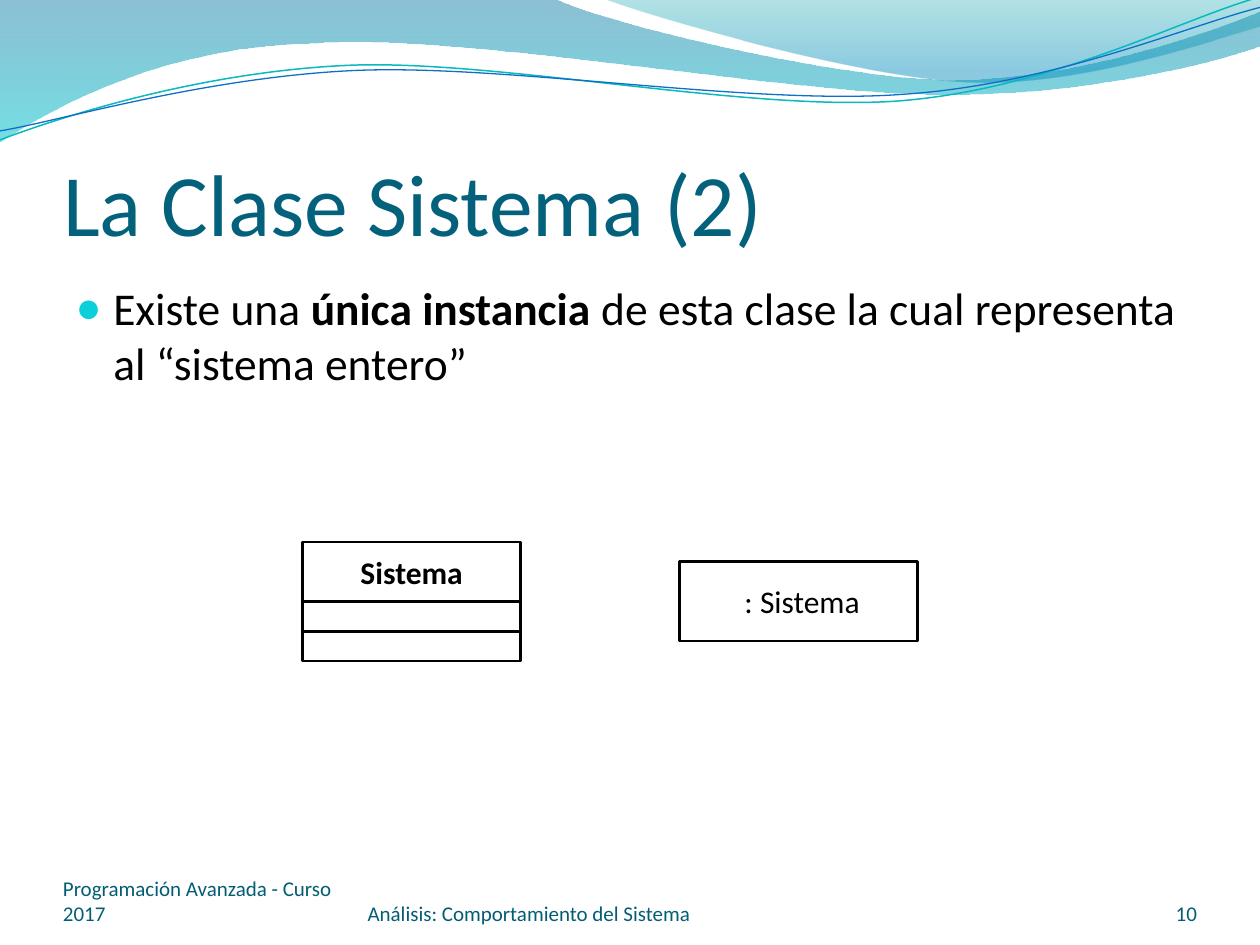
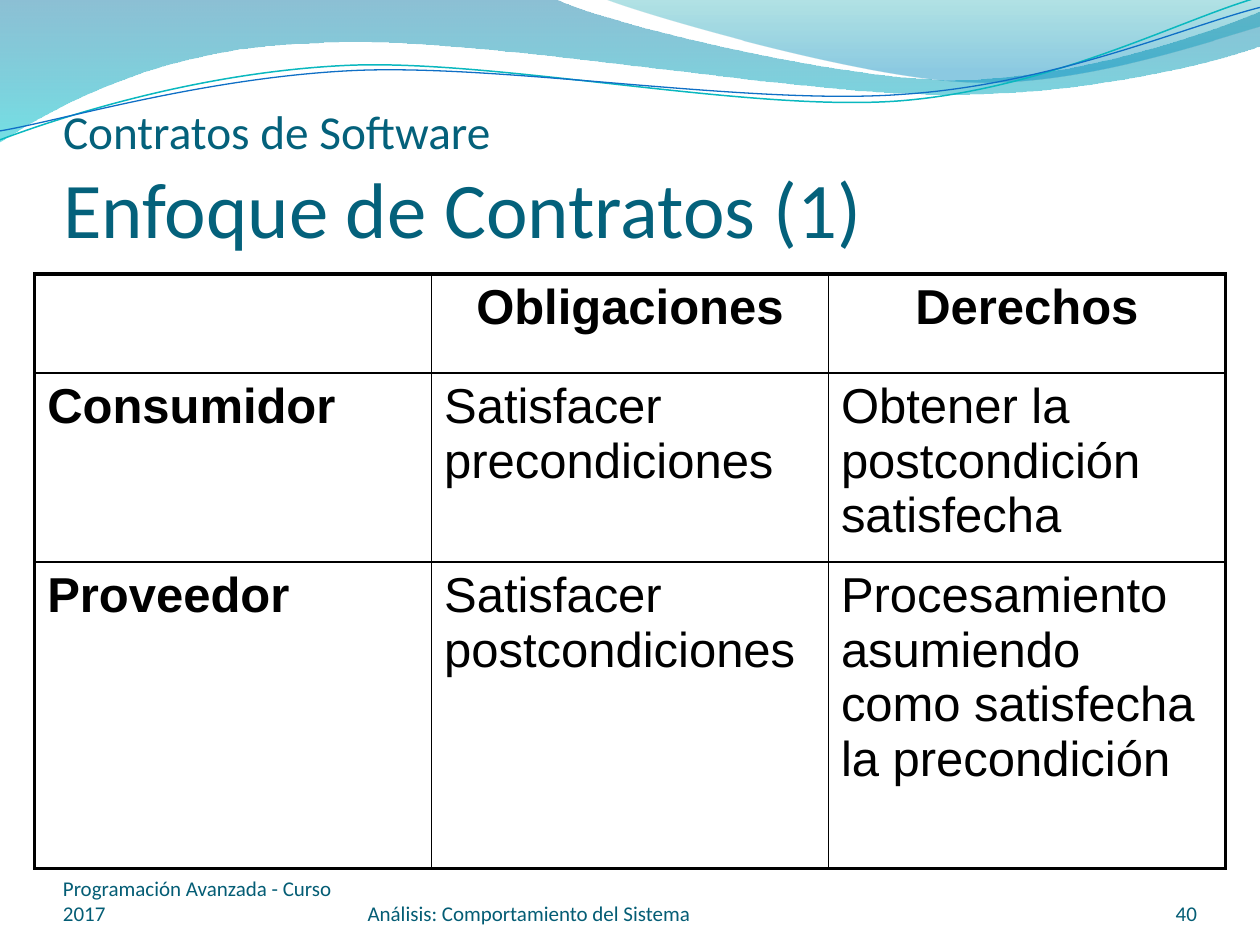
import copy

import pptx
import pptx.dml.color
import pptx.enum.shapes
import pptx.enum.text
import pptx.oxml
import pptx.oxml.ns
import pptx.util

Cm = pptx.util.Cm
Pt = pptx.util.Pt
ALIGN = pptx.enum.text.PP_ALIGN
ANCHOR = pptx.enum.text.MSO_ANCHOR
RECT = pptx.enum.shapes.MSO_SHAPE.RECTANGLE
BLACK, WHITE, TITLE, FOOTER, BULLET = "000000", "FFFFFF", "04617B", "045D75", "0BD0D9"
BREAK = "\n"

BANDS = [
    ([(0, 0), (11.18, -0.03),
      (12.09, 0.43, 16.87, 1.6, 19.25, 1.6), (21.67, 1.6, 24.33, 0.66, 25.4, 0.23),
      (25.43, 0.91),
      (24.97, 1.12, 22.1, 1.93, 18.95, 1.9), (15.8, 1.9, 9.7, 0.71, 6.53, 0.86),
      (3.28, 0.91, 1.17, 2.11, -0.03, 2.87), (0, 0)],
     [(0, "0074A1", 45), (1, "00C6CF", 55)]),
    ([(12.17, -0.03),
      (12.93, 0.28, 17.32, 1.57, 19.53, 1.65), (21.74, 1.75, 24.41, 0.81, 25.4, 0.53),
      (25.4, 0), (12.17, -0.03)],
     [(0, "00A1A9", 30), (0.8, "008BBF", 45)]),
]
WAVES = [
    ([(-0.05, 2.22), (1.19, 1.82, 4.02, 1.04, 7.05, 1.05),
      (10.05, 1.07, 15.02, 2.37, 18.08, 2.29), (21.13, 2.2, 23.86, 0.91, 25.41, 0.55)],
     "0AB8BF", 0.85),
    ([(-0.04, 2.04), (1.16, 1.9, 4.17, 1.15, 7.2, 1.16),
      (10.25, 1.18, 15.13, 2.25, 18.19, 2.16), (21.22, 2.1, 23.93, 1.06, 25.45, 0.75)],
     "0F6FC6", 0.75),
]
WAVE_TILT = 357.3


def rgb(color):
    return pptx.dml.color.RGBColor.from_string(color)


def xml(tag, attrs="", inner=""):
    ns = pptx.oxml.ns.nsdecls("a")
    return pptx.oxml.parse_xml(f"<a:{tag} {ns} {attrs}>{inner}</a:{tag}>")


def apply(obj, **fmt):
    for name, value in fmt.items():
        setattr(obj, name, value)


def bend(sp, steps):
    segments = iter(sp.element.xpath(".//a:lnTo"))
    for step in steps:
        first = next(segments)
        if len(step) == 2:
            continue
        curve = xml("cubicBezTo")
        first.addprevious(curve)
        for segment in (first, next(segments), next(segments)):
            curve.append(segment[0])
            segment.getparent().remove(segment)


class Deck:
    def __init__(self):
        self.prs = pptx.Presentation()
        apply(self.prs, slide_width=Cm(25.4), slide_height=Cm(19.05))
        self.s = None

    def slide(self, layout, number):
        self.s = self.prs.slides.add_slide(self.prs.slide_layouts[layout])
        if len(self.prs.slides) == 1:
            self.background()
        self.footer(1.27, 5.92, "Programación Avanzada - Curso 2017")
        self.footer(7.41, 9.32, "Análisis: Comportamiento del Sistema")
        self.footer(22.02, 2.11, number, ALIGN.RIGHT)

    def background(self):
        for steps, stops in BANDS:
            sp = self.outline(steps, True)
            sp.line.fill.background()
            sp.fill.gradient()
            sp.fill.gradient_angle = 270
            for stop, (position, color, opacity) in zip(sp.fill.gradient_stops, stops):
                stop.position = position
                stop.color.rgb = rgb(color)
                clr = stop.color._xFill.find(pptx.oxml.ns.qn("a:srgbClr"))
                clr.append(xml("alpha", f'val="{opacity * 1000}"'))
        for steps, color, width in WAVES:
            sp = self.outline(steps, False)
            sp.rotation = WAVE_TILT
            sp.fill.background()
            self.line(sp, color, width)

    def outline(self, steps, close):
        start, *rest = steps
        pts = [(Cm(step[i]), Cm(step[i + 1])) for step in rest
               for i in range(0, len(step), 2)]
        fb = self.s.shapes.build_freeform(*map(Cm, start), scale=1.0)
        fb.add_line_segments(pts, close=close)
        sp = fb.convert_to_shape()
        bend(sp, rest)
        sp.shadow.inherit = False
        tree = self.prs.slide_master.shapes.element
        sp.element.xpath(".//p:cNvPr")[0].set("id", str(100 + len(tree)))
        tree.append(sp.element)
        return sp

    def line(self, sp, color, width):
        sp.line.color.rgb = rgb(color)
        sp.line.width = Pt(width)

    def place(self, sp, left, top, width, height):
        apply(sp, left=Cm(left), top=Cm(top), width=Cm(width), height=Cm(height))

    def frame(self, tf, anchor, margins=None, wrap=True):
        apply(tf, word_wrap=wrap, vertical_anchor=anchor,
              auto_size=pptx.enum.text.MSO_AUTO_SIZE.NONE)
        if margins:
            sides = ("margin_left", "margin_top", "margin_right", "margin_bottom")
            apply(tf, **dict(zip(sides, map(Cm, margins))))

    def text(self, tf, runs, color=BLACK, align=ALIGN.LEFT, before=0, name="Calibri"):
        p = tf.paragraphs[0]
        apply(p, alignment=align, space_before=Pt(before))
        for text, size, bold in runs:
            r = p.add_run()
            r.text = text.rstrip(BREAK)
            apply(r.font, name=name, size=Pt(size), bold=bold)
            r.font.color.rgb = rgb(color)
            if text.endswith(BREAK):
                p.add_line_break()
                p._p[-1].append(copy.deepcopy(r._r.rPr))
        return p

    def footer(self, left, width, text, align=ALIGN.LEFT):
        sp = self.s.shapes.add_textbox(Cm(left), Cm(17.65), Cm(width), Cm(1.02))
        self.frame(sp.text_frame, ANCHOR.BOTTOM, (0, 0, 0, 0))
        self.text(sp.text_frame, [(text, 12, False)], FOOTER, align)

    def title(self, *runs):
        sp = self.s.shapes.title
        self.place(sp, 1.27, 1.95, 22.86, 3.17)
        self.frame(sp.text_frame, ANCHOR.BOTTOM, (0, 0.13, 0, 0))
        self.text(sp.text_frame, [(text, size, False) for text, size in runs], TITLE)

    def bullet(self, *runs):
        sp = self.s.placeholders[1]
        self.place(sp, 1.27, 5.52, 22.83, 12.4)
        self.frame(sp.text_frame, ANCHOR.TOP)
        p = self.text(sp.text_frame, [(text, 26, bold) for text, bold in runs], before=5.2)
        pPr = p._p.get_or_add_pPr()
        for key, value in {"marL": Cm(0.76), "indent": -Cm(0.76)}.items():
            pPr.set(key, str(int(value)))
        pPr.append(xml("buClr", inner=f'<a:srgbClr val="{BULLET}"/>'))
        pPr.append(xml("buSzPct", 'val="95000"'))
        pPr.append(xml("buChar", 'char="●"'))

    def box(self, left, top, width, height, text="", bold=False):
        sp = self.s.shapes.add_shape(RECT, Cm(left), Cm(top), Cm(width), Cm(height))
        sp.shadow.inherit = False
        sp.fill.solid()
        sp.fill.fore_color.rgb = rgb(WHITE)
        self.line(sp, BLACK, 1.5)
        if text:
            self.frame(sp.text_frame, ANCHOR.MIDDLE, wrap=False)
            self.text(sp.text_frame, [(text, 18, bold)], align=ALIGN.CENTER)

    def table(self, left, top, col_width, heights, rows):
        n, m = len(rows), len(rows[0])
        tbl = self.s.shapes.add_table(n, m, Cm(left), Cm(top), Cm(col_width * m),
                                      Cm(sum(heights))).table
        apply(tbl, first_row=False, horz_banding=False)
        for col in tbl.columns:
            col.width = Cm(col_width)
        for i, row in enumerate(rows):
            tbl.rows[i].height = Cm(heights[i])
            for j, text in enumerate(row):
                cell = tbl.cell(i, j)
                outer = {"L": j == 0, "R": j == m - 1, "T": i == 0, "B": i == n - 1}
                self.borders(cell, outer)
                cell.fill.background()
                if text:
                    self.text(cell.text_frame, [(text, 28, i == 0 or j == 0)],
                              align=ALIGN.LEFT if i else ALIGN.CENTER,
                              before=5.6, name="Arial")

    def borders(self, cell, outer):
        tcPr = cell._tc.get_or_add_tcPr()
        fill = f'<a:solidFill><a:srgbClr val="{BLACK}"/></a:solidFill>'
        for side, thick in outer.items():
            width = int(Pt(2.25 if thick else 1))
            tcPr.append(xml(f"ln{side}", f'w="{width}"', fill))


def main():
    deck = Deck()

    deck.slide(1, "10")
    deck.title(("La Clase Sistema (2)", 50))
    deck.bullet(("Existe una ", False), ("única instancia", True),
                (" de esta clase la cual representa al “sistema entero”", False))
    top = 10.93
    for height, name in ((1.2, "Sistema"), (0.6, ""), (0.6, "")):
        deck.box(6.1, top, 4.4, height, name, True)
        top += height
    deck.box(13.7, 11.32, 4.8, 1.6, " : Sistema")

    deck.slide(5, "40")
    deck.title(("Contratos de Software" + BREAK, 27), ("Enfoque de Contratos (1)", 45))
    deck.table(0.7, 5.52, 8, (2, 3.81, 6.18), [
        ("", "Obligaciones", "Derechos"),
        ("Consumidor", "Satisfacer precondiciones", "Obtener la postcondición satisfecha"),
        ("Proveedor", "Satisfacer postcondiciones",
         "Procesamiento asumiendo como satisfecha la precondición"),
    ])

    deck.prs.save("out.pptx")


if __name__ == "__main__":
    main()
